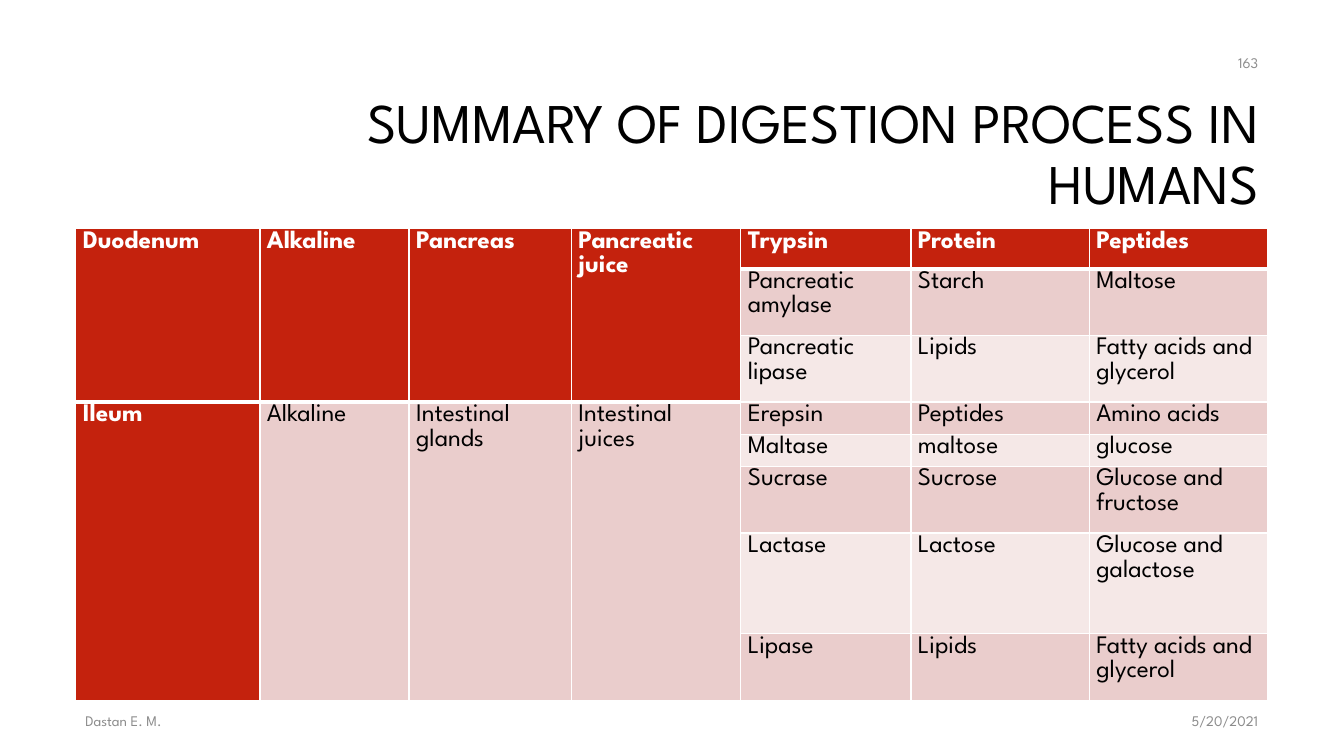
from dataclasses import dataclass

from lxml.etree import SubElement
from pptx import Presentation
from pptx.dml.color import RGBColor
from pptx.enum.text import MSO_ANCHOR, MSO_AUTO_SIZE, PP_ALIGN
from pptx.oxml.ns import qn
from pptx.slide import Slide
from pptx.table import Table, _Cell
from pptx.text.text import TextFrame
from pptx.util import Pt

FONT = "League Spartan"
BLACK, WHITE, GREY = "000000", "FFFFFF", "8C8C8C"
RED, ROSE, PALE = "C4220D", "EACDCC", "F5E8E7"
WIDTHS = [131.5, 106.5, 116, 121, 121.5, 127.5, 127.5]
HEIGHTS = [28.5, 47.6, 47.6, 23, 23, 47.6, 72, 47.6]


@dataclass
class Organ:
    row: int
    cells: list[str]
    steps: list[list[str]]


@dataclass
class Note:
    text: str
    left: float
    top: float
    width: float
    align: PP_ALIGN


ORGANS = [
    Organ(0, ["Duodenum", "Alkaline", "Pancreas", "Pancreatic juice"], [
        ["Trypsin", "Protein", "Peptides"],
        ["Pancreatic amylase", "Starch", "Maltose"],
        ["Pancreatic lipase", "Lipids", "Fatty acids and glycerol"],
    ]),
    Organ(3, ["Ileum", "Alkaline", "Intestinal glands", "Intestinal juices"], [
        ["Erepsin", "Peptides", "Amino acids"],
        ["Maltase", "maltose", "glucose"],
        ["Sucrase", "Sucrose", "Glucose and fructose"],
        ["Lactase", "Lactose", "Glucose and galactose"],
        ["Lipase", "Lipids", "Fatty acids and glycerol"],
    ]),
]
NOTES = [
    Note("5/20/2021", 676.8, 500.4, 229, PP_ALIGN.RIGHT),
    Note("Dastan E. M.", 54, 500.4, 612, PP_ALIGN.LEFT),
    Note("163", 689.8, 30.2, 216, PP_ALIGN.RIGHT),
]


def color(code: str) -> RGBColor:
    return RGBColor.from_string(code)


def write(frame: TextFrame, text: str, size: float, code: str,
          align: PP_ALIGN = PP_ALIGN.LEFT, space: float = 1,
          bold: bool = False) -> None:
    frame.word_wrap = True
    line = frame.paragraphs[0]
    line.alignment = align
    line.line_spacing = space
    line.space_before = line.space_after = Pt(0)
    run = line.add_run()
    run.text = text
    run.font.name = FONT
    run.font.size = Pt(size)
    run.font.bold = bold
    run.font.color.rgb = color(code)


def border(cell: _Cell, top: float, bottom: float) -> None:
    props = cell._tc.get_or_add_tcPr()
    for side, width in zip("LRTB", (1, 1, top, bottom)):
        line = SubElement(props, qn(f"a:ln{side}"), w=str(Pt(width)))
        fill = SubElement(line, qn("a:solidFill"))
        SubElement(fill, qn("a:srgbClr"), val=WHITE)


def paint(table: Table, row: int, col: int) -> None:
    cell = table.cell(row, col)
    head = row == 0 or (col < 4 and row < 3)
    under = row == 3 if col < 4 else row == 1
    border(cell, 3 if under else 1, 3 if head else 1)
    cell.fill.solid()
    if head or col == 0:
        shade = RED
    else:
        shade = ROSE if col < 4 or row % 2 else PALE
    cell.fill.fore_color.rgb = color(shade)
    cell.margin_left = cell.margin_right = Pt(5)
    cell.margin_top = cell.margin_bottom = Pt(0)


def enter(table: Table, row: int, col: int, text: str) -> None:
    bold = row == 0 or col == 0
    write(table.cell(row, col).text_frame, text, 18,
          WHITE if bold else BLACK, space=1.07, bold=bold)


def draw_table(slide: Slide) -> None:
    frame = slide.shapes.add_table(len(HEIGHTS), len(WIDTHS), Pt(54.2),
                                   Pt(163.5), Pt(sum(WIDTHS)), Pt(sum(HEIGHTS)))
    table = frame.table
    table.first_row = table.horz_banding = False
    for col, width in zip(table.columns, WIDTHS):
        col.width = Pt(width)
    for row, height in zip(table.rows, HEIGHTS):
        row.height = Pt(height)
    for row in range(len(HEIGHTS)):
        for col in range(len(WIDTHS)):
            paint(table, row, col)
    for organ in ORGANS:
        last = organ.row + len(organ.steps) - 1
        for col, text in enumerate(organ.cells):
            table.cell(organ.row, col).merge(table.cell(last, col))
            enter(table, organ.row, col, text)
        for row, step in enumerate(organ.steps, organ.row):
            for col, text in enumerate(step, len(organ.cells)):
                enter(table, row, col, text)


def draw_title(slide: Slide) -> None:
    title = slide.shapes.title
    title.left, title.top = Pt(228.2), Pt(60.5)
    title.width, title.height = Pt(678.2), Pt(101.5)
    frame = title.text_frame
    frame.auto_size = MSO_AUTO_SIZE.NONE
    frame.vertical_anchor = MSO_ANCHOR.MIDDLE
    write(frame, "SUMMARY OF DIGESTION PROCESS IN HUMANS", 40, BLACK,
          PP_ALIGN.RIGHT, 0.9)


def draw_note(slide: Slide, note: Note) -> None:
    box = slide.shapes.add_textbox(Pt(note.left), Pt(note.top),
                                   Pt(note.width), Pt(28.8))
    box.text_frame.vertical_anchor = MSO_ANCHOR.MIDDLE
    write(box.text_frame, note.text, 10.5, GREY, note.align)


def main() -> None:
    deck = Presentation()
    deck.slide_width, deck.slide_height = Pt(960), Pt(540)
    slide = deck.slides.add_slide(deck.slide_layouts[5])
    draw_title(slide)
    draw_table(slide)
    for note in NOTES:
        draw_note(slide, note)
    deck.save("out.pptx")


if __name__ == "__main__":
    main()
